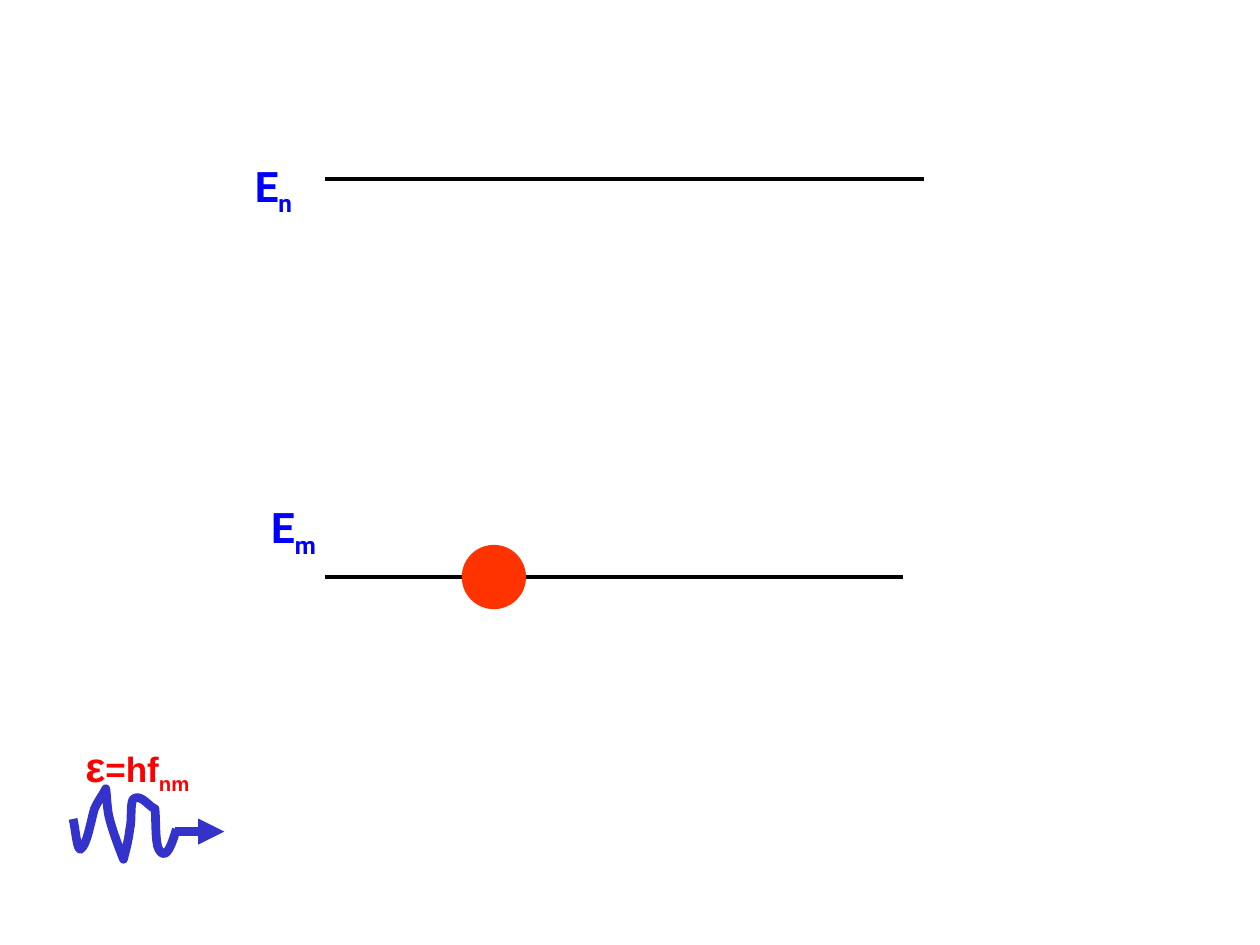
from lxml import etree
from pptx import Presentation
from pptx.dml.color import RGBColor
from pptx.enum.shapes import MSO_CONNECTOR, MSO_SHAPE
from pptx.enum.text import MSO_ANCHOR, PP_ALIGN
from pptx.oxml.ns import qn
from pptx.util import Inches, Pt

LINE = MSO_CONNECTOR.STRAIGHT
OVAL = MSO_SHAPE.OVAL
MIDDLE = MSO_ANCHOR.MIDDLE
CENTER = PP_ALIGN.CENTER


def color(fmt, code):
    if hasattr(fmt, "solid"):
        fmt.solid()
        fmt = fmt.fore_color
    else:
        fmt = fmt.color
    fmt.rgb = RGBColor.from_string(code)


def write(para, parts, face, code):
    for text, size, base in parts:
        run = para.add_run()
        run.text = text
        style = {"name": face, "size": Pt(size), "bold": True}
        for key, value in style.items():
            setattr(run.font, key, value)
        color(run.font, code)
        if base:
            run.font._element.set("baseline", str(base))


deck = Presentation()
deck.slide_width = Inches(10)
deck.slide_height = Inches(7.5)
slide = deck.slides.add_slide(deck.slide_layouts[6])
shapes = slide.shapes
photon = shapes.add_group_shape().shapes

curve = [
    (60, 658), (61, 675), (64, 674),
    (69, 671), (72, 652), (75, 642),
    (78, 635), (81, 632), (84, 626),
    (85, 634), (85, 643), (87, 650),
    (90, 662), (98, 682), (98, 682),
    (100, 674), (102, 667), (103, 658),
    (105, 651), (103, 637), (106, 634),
    (112, 630), (118, 640), (123, 642),
    (124, 652), (123, 668), (126, 674),
    (132, 685), (137, 668), (140, 658),
]
pen = photon.build_freeform(58, 650, scale=Inches(0.01))
pen.add_line_segments(curve, close=False)
wave = pen.convert_to_shape()
wave.shadow.inherit = False
wave.fill.background()
color(wave.line.fill, "3333CC")
wave.line.width = Pt(5)

steps = list(wave._element.iter(qn("a:lnTo")))
for first, second, third in zip(steps[::3], steps[1::3], steps[2::3]):
    bend = etree.Element(qn("a:cubicBezTo"))
    first.addprevious(bend)
    for step in (first, second, third):
        bend.append(step[0])
        step.getparent().remove(step)

lines = [
    (photon, 1.39, 1.78, 6.6, "3333CC", 5, True),
    (shapes, 2.58, 7.33, 1.42, "000000", 2.25, False),
    (shapes, 2.58, 7.17, 4.58, "000000", 2.25, False),
]
for home, left, right, top, code, width, arrow in lines:
    line = home.add_connector(
        LINE, Inches(left), Inches(top), Inches(right), Inches(top))
    color(line.line.fill, code)
    line.line.width = Pt(width)
    if arrow:
        etree.SubElement(line.line._get_or_add_ln(), qn("a:tailEnd"), type="triangle")
    etree.SubElement(line._element.spPr, qn("a:effectLst"))

label = photon.add_textbox(Inches(0.58), Inches(5.83), Inches(2.42), Inches(0.54))
label.text_frame.word_wrap = True
para = label.text_frame.paragraphs[0]
para.space_before = Pt(12.5)
write(para, [("ε", 24, 0), ("=hf", 20, 0), ("nm", 20, -25000)], "Arial", "FF0000")

levels = [
    ("n", 1.92, 1.25, 0.5, "FFFFFF"),
    ("m", 2.08, 4, 0.42, None),
]
layout = {
    "word_wrap": False,
    "vertical_anchor": MIDDLE,
    "margin_left": 0,
    "margin_right": 0,
}
for sub, left, top, height, back in levels:
    label = shapes.add_textbox(Inches(left), Inches(top), Inches(0.5), Inches(height))
    if back:
        color(label.fill, back)
    frame = label.text_frame
    for key, value in layout.items():
        setattr(frame, key, value)
    para = frame.paragraphs[0]
    para.alignment = CENTER
    write(para, [("E", 24, 0), (sub, 24, -25000)], "Roboto", "0000FF")

ball = shapes.add_shape(OVAL, Inches(3.67), Inches(4.33), Inches(0.5), Inches(0.5))
ball.shadow.inherit = False
for part in (ball.fill, ball.line.fill):
    color(part, "FF3300")
ball.line.width = Pt(0.75)

deck.save("out.pptx")
